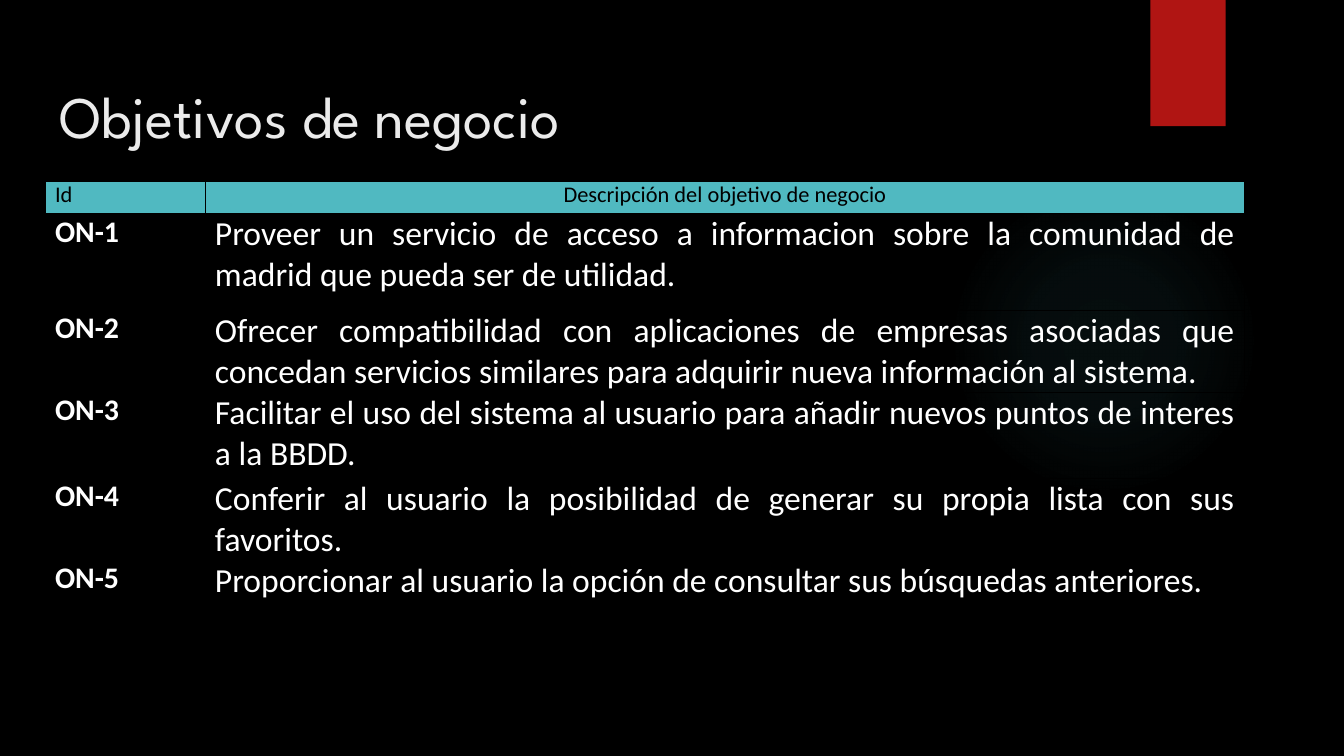
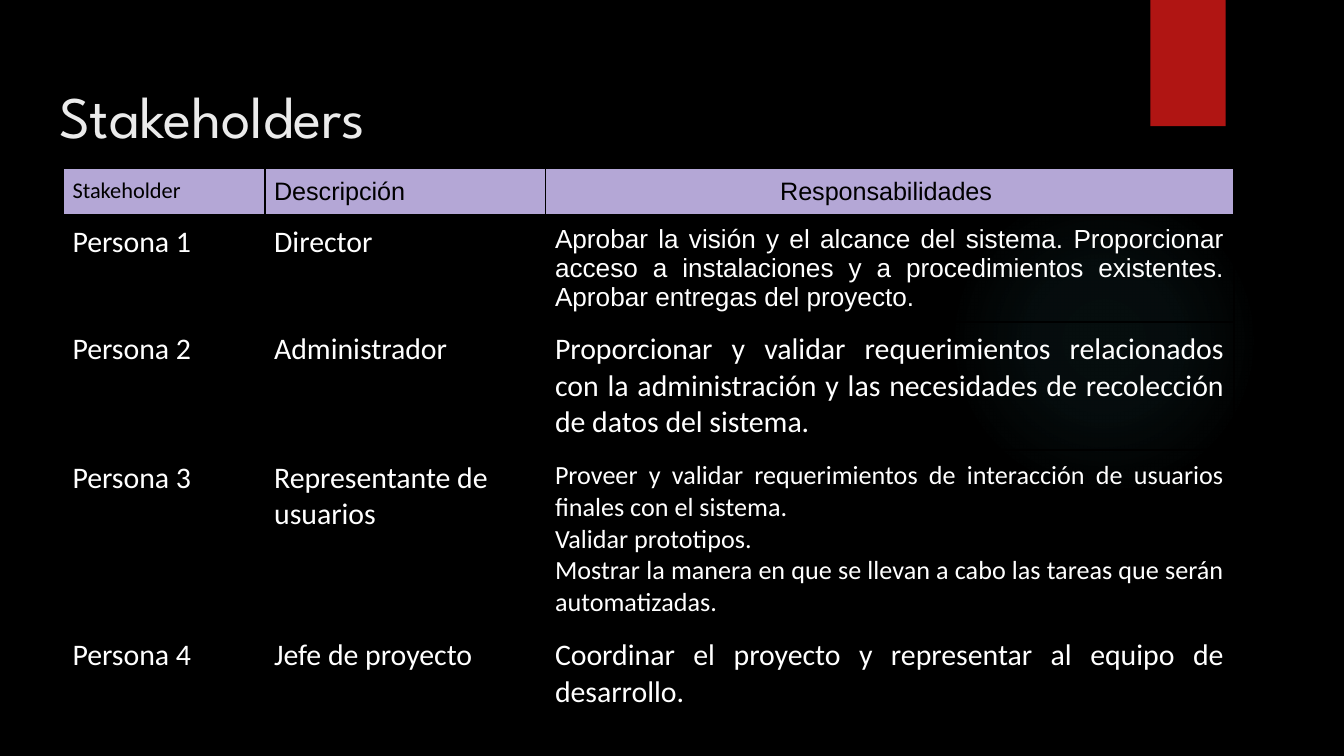
from lxml.etree import SubElement
from pptx import Presentation
from pptx.dml.color import RGBColor
from pptx.enum.shapes import MSO_SHAPE
from pptx.enum.text import MSO_ANCHOR, PP_ALIGN
from pptx.oxml import parse_xml
from pptx.oxml.ns import nsdecls, qn
from pptx.util import Inches, Pt

BLACK = RGBColor(0x00, 0x00, 0x00)
WHITE = RGBColor(0xFF, 0xFF, 0xFF)
TITLE_GREY = RGBColor(0xEB, 0xEB, 0xEB)
RED = RGBColor(0xB0, 0x15, 0x13)
TEAL = RGBColor(0x50, 0xB9, 0xC1)
LILAC = RGBColor(0xB4, 0xA7, 0xD6)

LEFT, CENTER, JUSTIFY = PP_ALIGN.LEFT, PP_ALIGN.CENTER, PP_ALIGN.JUSTIFY
GLOW_STOPS = [(0, 7), (36, 6), (69, 0)]

GOALS = [
    "Proveer un servicio de acceso a informacion sobre la comunidad de madrid que pueda ser de utilidad.",
    "Ofrecer compatibilidad con aplicaciones de empresas asociadas que concedan servicios similares "
    "para adquirir nueva información al sistema. ",
    "Facilitar el uso del sistema al usuario para añadir nuevos puntos de interes a la BBDD. ",
    "Conferir al usuario la posibilidad de generar su propia lista con sus favoritos.",
    "Proporcionar al usuario la opción de consultar sus búsquedas anteriores.",
]
STAKEHOLDERS = [
    ("Director",
     "Aprobar la visión y el alcance del sistema. Proporcionar acceso a instalaciones y a "
     "procedimientos existentes. Aprobar entregas del proyecto. ", 14, "Arial"),
    ("Administrador",
     "Proporcionar y validar requerimientos relacionados con la administración y las necesidades "
     "de recolección de datos del sistema.", 16, "Calibri"),
    ("Representante de usuarios",
     "Proveer y validar requerimientos de interacción de usuarios finales con el sistema.\n"
     "Validar prototipos.\n"
     "Mostrar la manera en que se llevan a cabo las tareas que serán automatizadas.", 14, "Calibri"),
    ("Jefe de proyecto",
     "Coordinar el proyecto y representar al equipo de desarrollo.", 16, "Calibri"),
]

goal_rows = [[("Id", 12, "Calibri", LEFT),
              ("Descripción del objetivo de negocio", 12, "Calibri", CENTER)]]
for number, goal in enumerate(GOALS, 1):
    goal_rows.append([(f"ON-{number}", 16, "Calibri", LEFT), (goal, 18, "Calibri", JUSTIFY)])

stakeholder_rows = [[("Stakeholder", 12, "Calibri", LEFT),
                     ("Descripción", 13.5, "Arial", LEFT),
                     ("Responsabilidades ", 13.5, "Arial", CENTER)]]
for number, (role, duties, size, font) in enumerate(STAKEHOLDERS, 1):
    stakeholder_rows.append([(f"Persona {number}", 16, "Calibri", LEFT),
                             (role, 16, "Calibri", LEFT),
                             (duties, size, font, JUSTIFY)])

SLIDES = [
    dict(title="Objetivos de negocio", rows=goal_rows, left=0.34, top=1.35,
         widths=[1.19, 7.73], heights=[0.24, 0.72, 0.61, 0.64, 0.61, 0.51],
         header=TEAL, border=0.5, margin=0, bold_ids=True, spaced=[(1, 1), (3, 1)]),
    dict(title="Stakeholders", rows=stakeholder_rows, left=0.47, top=1.25,
         widths=[1.5, 2.09, 5.12], heights=[0.35, 0.79, 0.91, 1.26, 0.84],
         header=LILAC, border=1, margin=0.07, bold_ids=False, spaced=[]),
]


def add_decoration(slide, preset, left, top, width, height):
    shape = slide.shapes.add_shape(preset, Inches(left), Inches(top), Inches(width), Inches(height))
    shape.shadow.inherit = False
    shape.line.fill.background()
    return shape


def format_cell(cell, content, color, bold, margin, border, spacing):
    text, size, font, alignment = content
    cell.margin_left = cell.margin_right = Inches(0.07)
    cell.margin_top = cell.margin_bottom = Inches(margin)
    cell.text_frame.text = text
    for paragraph in cell.text_frame.paragraphs:
        paragraph.alignment = alignment
        paragraph.space_before = paragraph.space_after = Pt(spacing)
        for run in paragraph.runs:
            run.font.size = Pt(size)
            run.font.name = font
            run.font.bold = bold
            run.font.color.rgb = color
    properties = cell._tc.get_or_add_tcPr()
    for position, side in enumerate(("lnL", "lnR", "lnT", "lnB")):
        line = parse_xml(f'<a:{side} {nsdecls("a")} w="{Pt(border)}"><a:solidFill>'
                         f'<a:srgbClr val="{BLACK}"/></a:solidFill></a:{side}>')
        properties.insert(position, line)


presentation = Presentation()
presentation.slide_width = Inches(10)
presentation.slide_height = presentation.slide_width * 9 // 16
background = presentation.slide_master.background.fill
background.solid()
background.fore_color.rgb = BLACK

for content in SLIDES:
    slide = presentation.slides.add_slide(presentation.slide_layouts[5])

    glow = add_decoration(slide, MSO_SHAPE.OVAL, 7.06, 1.38, 2.31, 2.31)
    glow.fill.gradient()
    gradient = glow.element.spPr.find(qn("a:gradFill"))
    stops = "".join(f'<a:gs pos="{position * 1000}"><a:srgbClr val="{TEAL}">'
                    f'<a:alpha val="{alpha * 1000}"/></a:srgbClr></a:gs>'
                    for position, alpha in GLOW_STOPS)
    gradient.getparent().replace(gradient, parse_xml(
        f'<a:gradFill {nsdecls("a")}><a:gsLst>{stops}</a:gsLst><a:path path="circle">'
        '<a:fillToRect l="50000" t="50000" r="50000" b="50000"/></a:path></a:gradFill>'))

    ribbon = add_decoration(slide, MSO_SHAPE.RECTANGLE, 8.56, 0, 0.56, 0.94)
    ribbon.fill.solid()
    ribbon.fill.fore_color.rgb = RED
    effects = ribbon.element.spPr.find(qn("a:effectLst"))
    shadow = SubElement(effects, qn("a:outerShdw"), blurRad=str(Pt(3)), dist=str(Pt(2)),
                        dir="5400000", rotWithShape="0")
    shadow_color = SubElement(shadow, qn("a:srgbClr"), val=str(BLACK))
    SubElement(shadow_color, qn("a:alpha"), val="45000")

    title = slide.shapes.title
    ribbon.element.addnext(title.element)
    title.left, title.top = Inches(0.34), Inches(0.49)
    title.width, title.height = Inches(9.32), Inches(0.63)
    frame = title.text_frame
    frame.text = content["title"]
    frame.vertical_anchor = MSO_ANCHOR.TOP
    frame.margin_left = frame.margin_right = frame.margin_top = frame.margin_bottom = Inches(0.1)
    paragraph = frame.paragraphs[0]
    paragraph.alignment = LEFT
    font = paragraph.runs[0].font
    font.size = Pt(31.5)
    font.name = "League Spartan"
    font.color.rgb = TITLE_GREY

    rows, widths, heights = content["rows"], content["widths"], content["heights"]
    table = slide.shapes.add_table(
        len(rows), len(widths), Inches(content["left"]), Inches(content["top"]),
        Inches(sum(widths)), Inches(sum(heights))).table
    table.first_row = False
    table.horz_banding = False
    for column, width in zip(table.columns, widths):
        column.width = Inches(width)
    for row_index, (row, height) in enumerate(zip(rows, heights)):
        table.rows[row_index].height = Inches(height)
        is_header = row_index == 0
        for column_index, cell_content in enumerate(row):
            cell = table.cell(row_index, column_index)
            if is_header:
                cell.fill.solid()
                cell.fill.fore_color.rgb = content["header"]
            else:
                cell.fill.background()
            format_cell(cell, cell_content, BLACK if is_header else WHITE,
                        content["bold_ids"] and not is_header and column_index == 0,
                        content["margin"], content["border"],
                        12 if (row_index, column_index) in content["spaced"] else 0)

presentation.save("out.pptx")
